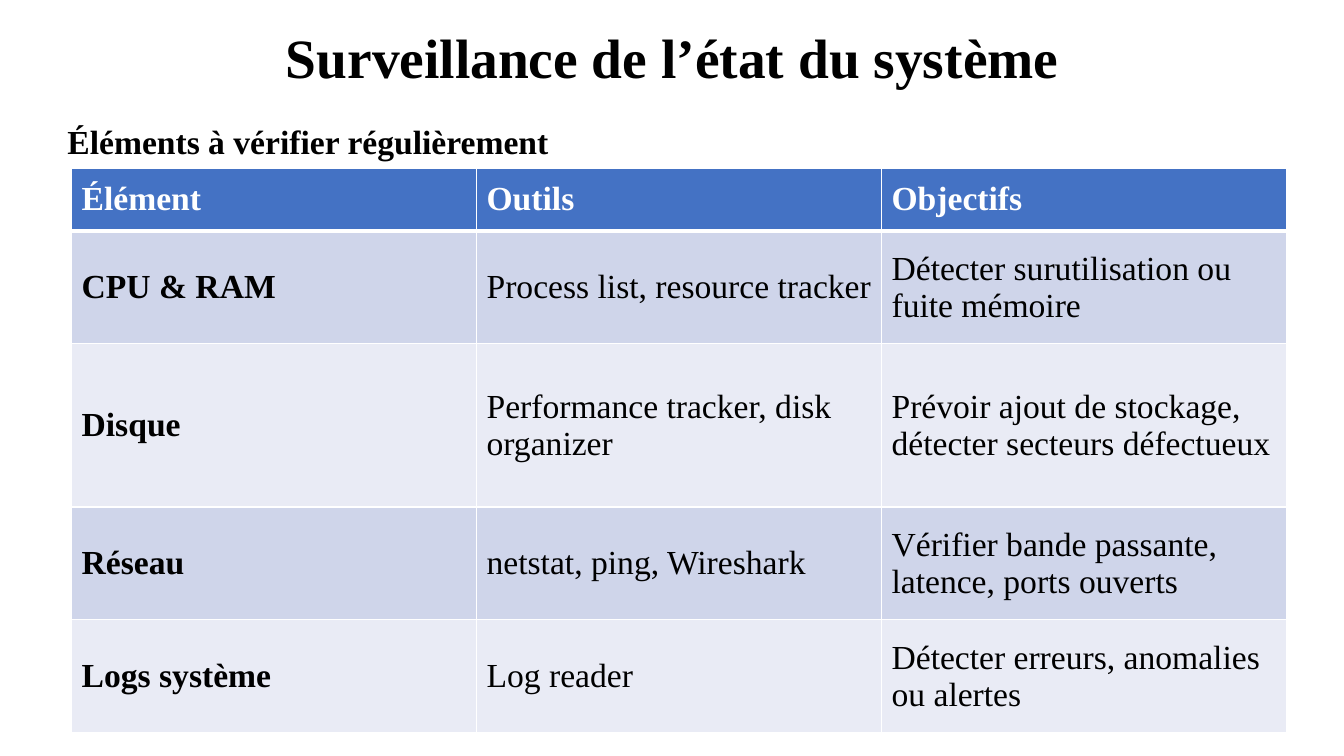
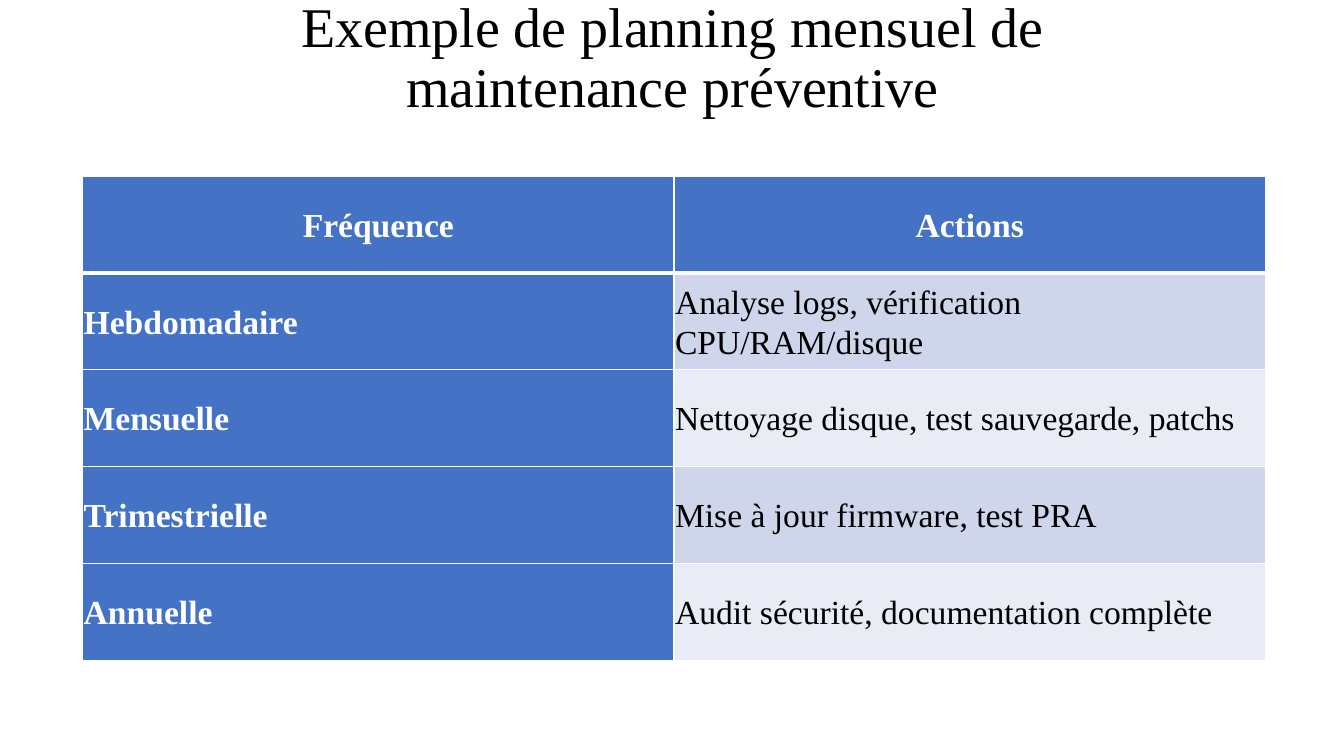
from lxml import etree
from pptx import Presentation
from pptx.dml.color import RGBColor
from pptx.enum.text import MSO_ANCHOR, PP_ALIGN
from pptx.oxml.ns import qn
from pptx.util import Inches, Pt

LEFT, CENTER = PP_ALIGN.LEFT, PP_ALIGN.CENTER
TOP, MIDDLE, BOTTOM = MSO_ANCHOR.TOP, MSO_ANCHOR.MIDDLE, MSO_ANCHOR.BOTTOM

FONT = "Times New Roman"
BLACK, WHITE, BLUE = "000000", "FFFFFF", "4472C4"
BANDS = ["CFD5EA", "E9EBF5"]

# Content
SLIDES = [
    {
        "title": "Surveillance de l’état du système",
        "title_box": (1.67, 0.23, 10, 0.72),
        "title_font": {"size": Pt(39.6), "bold": True},
        "lead": "Éléments à vérifier régulièrement",
        "place": (0.71, 1.67, 12.05),
        "heights": [0.62, 1.12, 1.62, 1.12, 1.12],
        "inset": (0.1, 0.05),
        "spacing": 1.0,
        "head_align": LEFT,
        "side_fill": False,
        "rows": [
            ("Élément", "Outils", "Objectifs"),
            ("CPU & RAM", "Process list, resource tracker",
             "Détecter surutilisation ou fuite mémoire"),
            ("Disque", "Performance tracker, disk organizer",
             "Prévoir ajout de stockage, détecter secteurs défectueux"),
            ("Réseau", "netstat, ping, Wireshark",
             "Vérifier bande passante, latence, ports ouverts"),
            ("Logs système", "Log reader",
             "Détecter erreurs, anomalies ou alertes"),
        ],
    },
    {
        "title": "Exemple de planning mensuel de maintenance préventive",
        "title_box": (1.67, 0.27, 10, 0.97),
        "title_font": {"size": Pt(40), "bold": False},
        "lead": None,
        "place": (0.82, 1.75, 11.73),
        "heights": [0.96] * 5,
        "inset": (0.01, 0.01),
        "spacing": 1.07,
        "head_align": CENTER,
        "side_fill": True,
        "rows": [
            ("Fréquence", "Actions"),
            ("Hebdomadaire", "Analyse logs, vérification CPU/RAM/disque"),
            ("Mensuelle", "Nettoyage disque, test sauvegarde, patchs"),
            ("Trimestrielle", "Mise à jour firmware, test PRA"),
            ("Annuelle", "Audit sécurité, documentation complète"),
        ],
    },
]


def color(code):
    return RGBColor.from_string(code)


def write(frame, text, align, spacing, tint=BLACK, **style):
    """Put one styled paragraph into a text frame."""
    frame.word_wrap = True
    para = frame.paragraphs[0]
    para.alignment, para.line_spacing = align, spacing
    font = para.add_run().font
    para.runs[0].text = text
    for name, value in {"name": FONT, "size": Pt(24), **style}.items():
        setattr(font, name, value)
    font.color.rgb = color(tint)


def add_text(slide, box, text, anchor, align, spacing, **style):
    frame = slide.shapes.add_textbox(*map(Inches, box)).text_frame
    frame.vertical_anchor = anchor
    write(frame, text, align, spacing, **style)


def add_edges(cell, row):
    """White cell borders, with a thick rule under the header."""
    props = cell._tc.get_or_add_tcPr()
    widths = {"L": 1, "R": 1, "T": 3 if row == 1 else 1, "B": 3 if row == 0 else 1}
    for side, width in widths.items():
        line = etree.SubElement(props, qn(f"a:ln{side}"), w=str(Pt(width)))
        fill = etree.SubElement(line, qn("a:solidFill"))
        etree.SubElement(fill, qn("a:srgbClr"), val=WHITE)


def fill_cell(cell, text, row, col, data):
    solid = row == 0 or (data["side_fill"] and col == 0)
    across, down = map(Inches, data["inset"])
    form = {"margin_left": across, "margin_right": across, "margin_top": down,
            "margin_bottom": down, "vertical_anchor": MIDDLE}
    for name, value in form.items():
        setattr(cell, name, value)
    add_edges(cell, row)
    cell.fill.solid()
    cell.fill.fore_color.rgb = color(BLUE if solid else BANDS[(row - 1) % 2])
    write(cell.text_frame, text, data["head_align"] if row == 0 else LEFT,
          data["spacing"], WHITE if solid else BLACK, bold=row == 0 or col == 0)


def add_grid(slide, data):
    rows, heights = data["rows"], data["heights"]
    left, top, width = data["place"]
    count = len(rows[0])
    table = slide.shapes.add_table(
        len(rows), count, *map(Inches, (left, top, width, sum(heights)))).table
    for column in table.columns:
        column.width = Inches(width / count)
    for row, (height, texts) in enumerate(zip(heights, rows)):
        table.rows[row].height = Inches(height)
        for col, text in enumerate(texts):
            fill_cell(table.cell(row, col), text, row, col, data)


def main():
    deck = Presentation()
    deck.slide_width, deck.slide_height = Inches(13.33), Inches(7.5)
    for data in SLIDES:
        slide = deck.slides.add_slide(deck.slide_layouts[6])
        add_text(slide, data["title_box"], data["title"], BOTTOM, CENTER, 0.9,
                 **data["title_font"])
        if data["lead"]:
            add_text(slide, (0.57, 0.95, 12.05, 0.7), data["lead"], TOP, LEFT, 1.5,
                     bold=True)
        add_grid(slide, data)
    deck.save("out.pptx")


if __name__ == "__main__":
    main()
